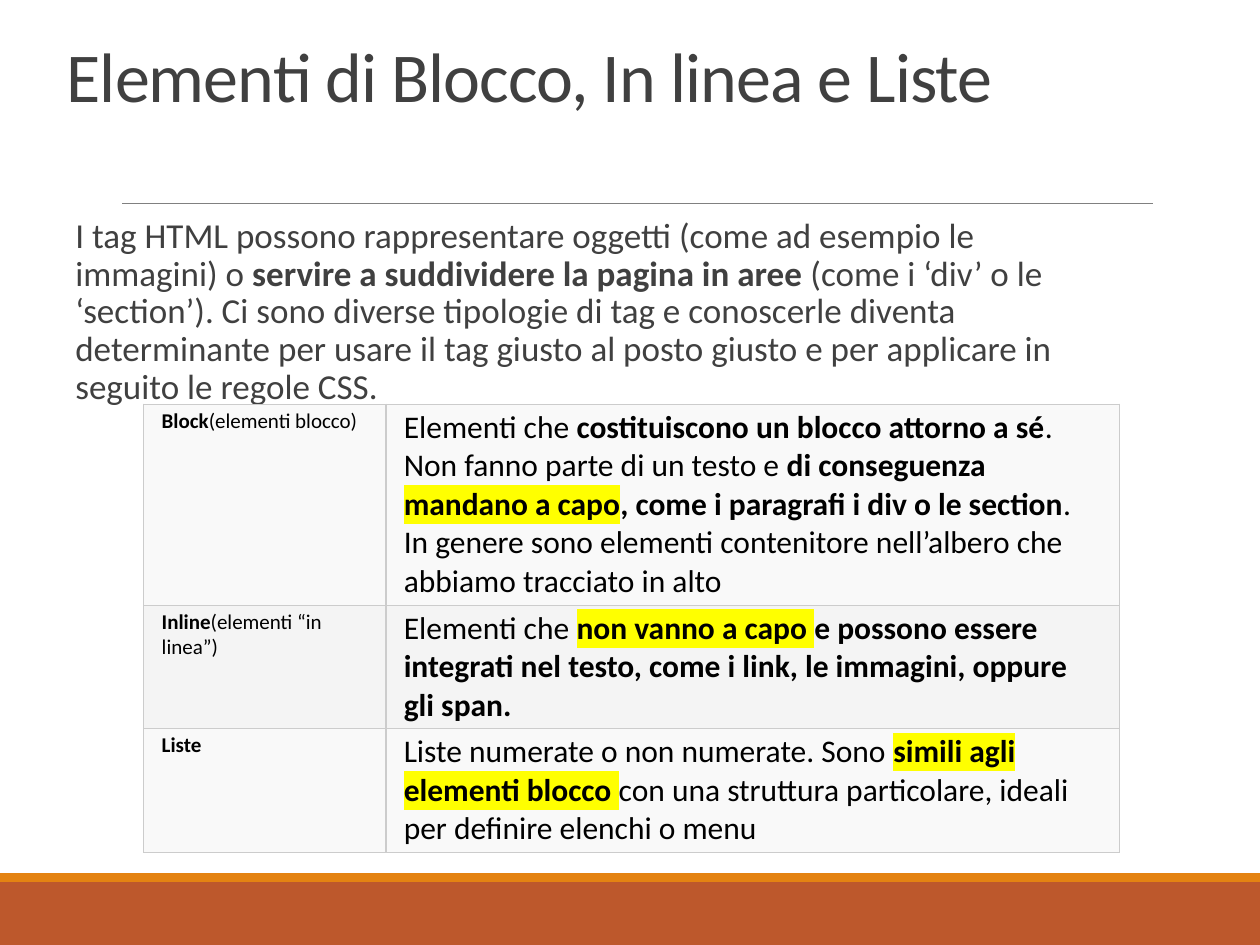
"""Build the slide on block, inline and list elements in HTML."""
import pptx
import pptx.dml.color
import pptx.enum.shapes
import pptx.enum.text
import pptx.oxml
import pptx.oxml.ns
import pptx.util
from lxml import etree

Cm = pptx.util.Cm
Pt = pptx.util.Pt
RGBColor = pptx.dml.color.RGBColor
qn = pptx.oxml.ns.qn

WHITE = RGBColor(0xFF, 0xFF, 0xFF)
BLACK = RGBColor(0x00, 0x00, 0x00)
CHARCOAL = RGBColor(0x40, 0x40, 0x40)
GRAY = RGBColor(0x80, 0x80, 0x80)
BORDER = RGBColor(0xCC, 0xCC, 0xCC)
ROW_LIGHT = RGBColor(0xF9, 0xF9, 0xF9)
ROW_DARK = RGBColor(0xF4, 0xF4, 0xF4)
YELLOW = RGBColor(0xFF, 0xFF, 0x00)
ORANGE = RGBColor(0xE4, 0x83, 0x12)
RUST = RGBColor(0xBD, 0x58, 0x2C)

PLAIN, BOLD, MARKED = "plain", "bold", "marked"

TITLE = "Elementi di Blocco, In linea e Liste"
INTRO = [
    ("I tag HTML possono rappresentare oggetti (come ad esempio le immagini) o ", PLAIN),
    ("servire a suddividere la pagina in aree ", BOLD),
    ("(come i ‘div’ o le ‘section’). Ci sono diverse tipologie di tag e conoscerle "
     "diventa determinante per usare il tag giusto al posto giusto e per applicare "
     "in seguito le regole CSS.", PLAIN),
]
ELEMENT_TYPES = [
    ([("Block", BOLD), ("(elementi blocco)", PLAIN)],
     [("Elementi che ", PLAIN),
      ("costituiscono un blocco attorno a sé", BOLD),
      (". Non fanno parte di un testo e ", PLAIN),
      ("di conseguenza ", BOLD),
      ("mandano a capo", MARKED),
      (", come i paragrafi i div o le section", BOLD),
      (". In genere sono elementi contenitore nell’albero che abbiamo tracciato in alto",
       PLAIN)]),
    ([("Inline", BOLD), ("(elementi “in linea”)", PLAIN)],
     [("Elementi che ", PLAIN),
      ("non vanno a capo ", MARKED),
      ("e possono essere integrati nel testo, come i link, le immagini, oppure gli span.",
       BOLD)]),
    ([("Liste", BOLD)],
     [("Liste numerate o non numerate. Sono ", PLAIN),
      ("simili agli elementi blocco ", MARKED),
      ("con una struttura particolare, ideali per definire elenchi o menu", PLAIN)]),
]


def apply(target, values):
    """Set each named attribute of the target."""
    for name, value in values.items():
        setattr(target, name, value)


class SlideBuilder:
    """Hold the style and the current slide, and add elements to it."""

    font = "Calibri"
    frame_format = {
        "word_wrap": True,
        "auto_size": pptx.enum.text.MSO_AUTO_SIZE.NONE,
        "vertical_anchor": pptx.enum.text.MSO_ANCHOR.TOP,
    }
    cell_format = {
        "margin_left": Cm(0.36), "margin_right": Cm(0.36),
        "margin_top": Cm(0.08), "margin_bottom": Cm(0.08),
        "vertical_anchor": pptx.enum.text.MSO_ANCHOR.TOP,
    }

    def __init__(self, deck):
        """Start a title-only slide on a white background."""
        self.slide = deck.slides.add_slide(deck.slide_layouts[5])
        self.slide.background.fill.solid()
        self.slide.background.fill.fore_color.rgb = WHITE

    def fill_para(self, para, spans, size, color):
        """Fill a paragraph with plain, bold and marked spans."""
        para.alignment = pptx.enum.text.PP_ALIGN.LEFT
        for text, style in spans:
            span = para.add_run()
            span.text = text
            apply(span.font, {"name": self.font, "size": Pt(size), "bold": style != PLAIN})
            span.font.color.rgb = color
            if style == MARKED:
                properties = span.font._element
                highlight = etree.Element(qn("a:highlight"))
                etree.SubElement(highlight, qn("a:srgbClr"), val=str(YELLOW))
                properties.find(qn("a:solidFill")).addnext(highlight)

    def title(self, text, left, top, width, height):
        """Move and format the title placeholder."""
        box = self.slide.shapes.title
        apply(box, {"left": Cm(left), "top": Cm(top), "width": Cm(width), "height": Cm(height)})
        apply(box.text_frame, self.frame_format)
        para = box.text_frame.paragraphs[0]
        para.line_spacing = 0.85
        self.fill_para(para, [(text, PLAIN)], 40, CHARCOAL)
        para.runs[0].font._element.set("spc", "-50")

    def text(self, spans, left, top, width, height):
        """Add a body text box."""
        box = self.slide.shapes.add_textbox(Cm(left), Cm(top), Cm(width), Cm(height))
        apply(box.text_frame, self.frame_format | {"margin_left": Cm(0.25), "margin_right": 0})
        para = box.text_frame.paragraphs[0]
        apply(para, {"line_spacing": 0.9, "space_before": Pt(2), "space_after": Pt(2)})
        self.fill_para(para, spans, 20, CHARCOAL)

    def band(self, color, top, height):
        """Add a full-width coloured band."""
        shape = self.slide.shapes.add_shape(
            pptx.enum.shapes.MSO_SHAPE.RECTANGLE, 0, Cm(top), Cm(25.4), Cm(height))
        shape.shadow.inherit = False
        shape.fill.solid()
        shape.fill.fore_color.rgb = color
        shape.line.fill.background()

    def rule(self, left, right, top):
        """Add a thin horizontal line."""
        line = self.slide.shapes.add_connector(
            pptx.enum.shapes.MSO_CONNECTOR.STRAIGHT, Cm(left), Cm(top), Cm(right), Cm(top))
        line.line.color.rgb = GRAY
        line.line.width = Pt(0.5)
        etree.SubElement(line._element.spPr, qn("a:effectLst"))

    def border(self, cell):
        """Draw the four borders of a cell."""
        properties = cell._tc.get_or_add_tcPr()
        for index, side in enumerate(("L", "R", "T", "B")):
            edge = etree.Element(qn(f"a:ln{side}"), w=str(Pt(0.75)))
            fill = etree.SubElement(edge, qn("a:solidFill"))
            etree.SubElement(fill, qn("a:srgbClr"), val=str(BORDER))
            properties.insert(index, edge)

    def table(self, rows, left, top, widths, heights):
        """Add a table with small labels and larger descriptions."""
        grid = self.slide.shapes.add_table(
            len(rows), len(widths), Cm(left), Cm(top),
            Cm(sum(widths)), Cm(sum(heights))).table
        for column, width in zip(grid.columns, widths):
            column.width = Cm(width)
        for index, (row, height) in enumerate(zip(rows, heights)):
            grid.rows[index].height = Cm(height)
            for cell, spans, size in zip(grid.rows[index].cells, row, (12, 18)):
                apply(cell, self.cell_format)
                cell.fill.solid()
                cell.fill.fore_color.rgb = ROW_DARK if index % 2 else ROW_LIGHT
                self.border(cell)
                self.fill_para(cell.text_frame.paragraphs[0], spans, size, BLACK)


def main():
    """Build and save the deck."""
    deck = pptx.Presentation()
    apply(deck, {"slide_width": Cm(25.4), "slide_height": Cm(19.05)})
    page = SlideBuilder(deck)
    page.band(RUST, 17.78, 1.27)
    page.band(ORANGE, 17.6, 0.18)
    page.rule(2.46, 23.24, 4.11)
    page.title(TITLE, 1.09, 0.79, 23.01, 3.05)
    page.text(INTRO, 1.27, 4.27, 21.16, 5.46)
    page.table(ELEMENT_TYPES, 2.9, 8.15, (4.88, 14.78), (4.05, 2.49, 2.49))
    deck.save("out.pptx")


if __name__ == "__main__":
    main()
